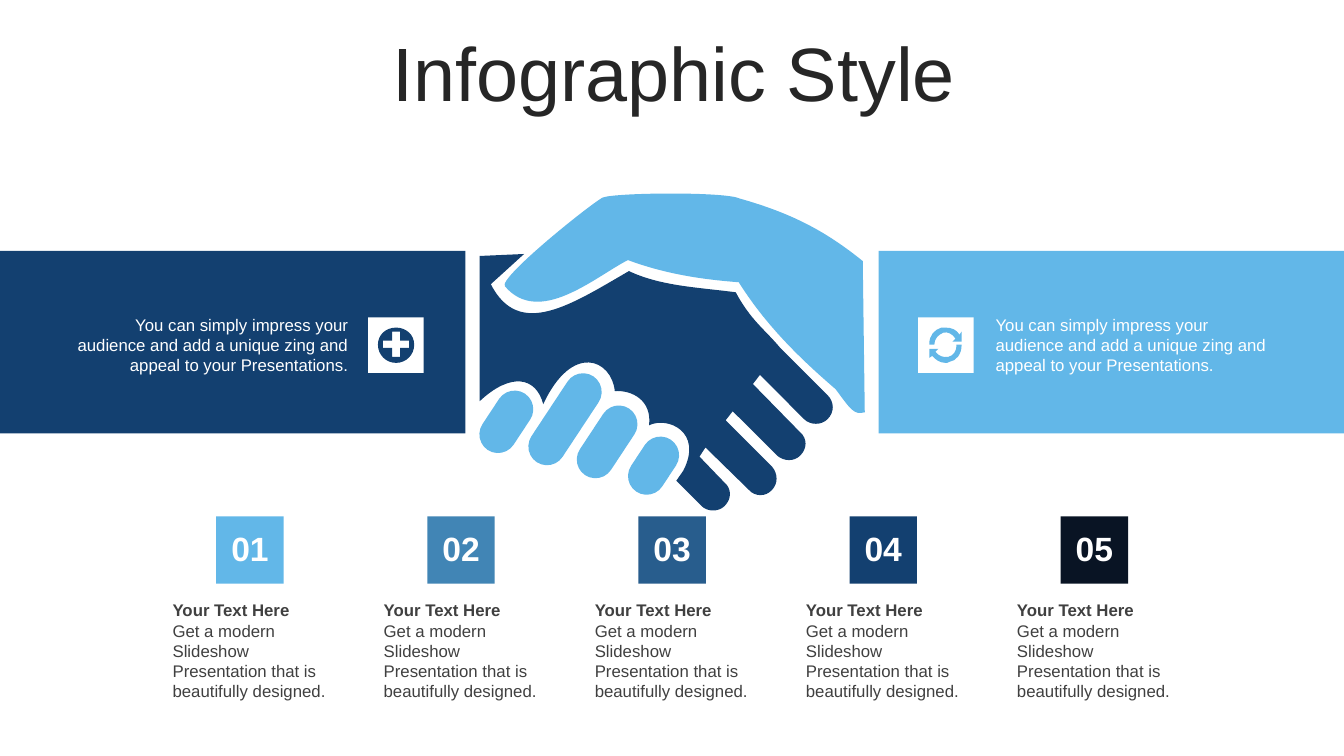
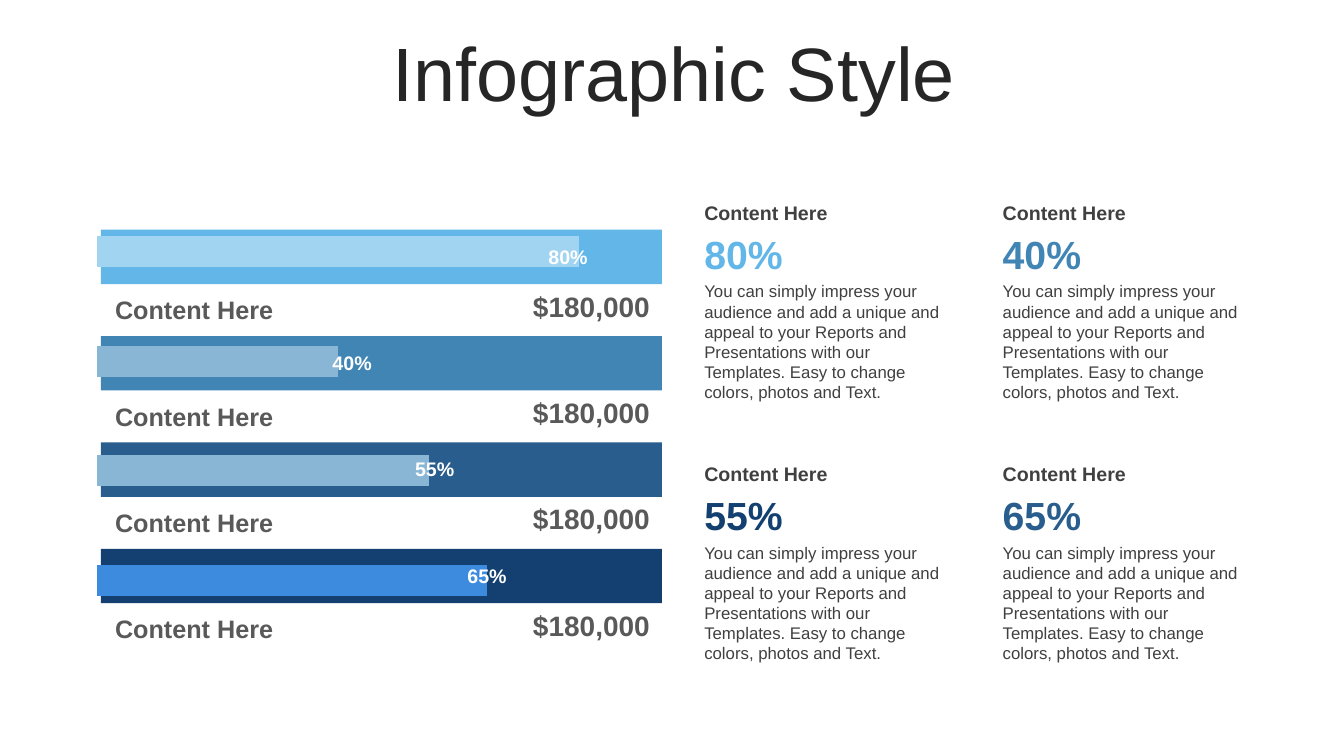
from lxml import etree
from pptx import Presentation
from pptx import util as u
from pptx.chart import data as chart_data
from pptx.dml import color as dml
from pptx.enum import chart as charts, shapes, text
from pptx.oxml import ns, parse_xml

# Shared look
FONT = "Arial"
WHITE, INK, TITLE_INK, GREY = "FFFFFF", "404040", "262626", "595959"
SKY, STEEL, BLUE, NAVY, NIGHT = "62B7E8", "4185B5", "285D8D", "134070", "091424"
LEFT, CENTER, RIGHT = text.PP_ALIGN.LEFT, text.PP_ALIGN.CENTER, text.PP_ALIGN.RIGHT
TOP, MIDDLE = text.MSO_ANCHOR.TOP, text.MSO_ANCHOR.MIDDLE
RECT, ROUNDED = shapes.MSO_SHAPE.RECTANGLE, shapes.MSO_SHAPE.ROUNDED_RECTANGLE

# Outlines on a grid measured from the slide's top left corner
GRID = u.Cm(0.0254)
UPPER_HAND = """M 623 258 C 590 275 535 324 501 284 C 494 276 585 203 598 196
    C 611 191 720 190 734 197 C 787 212 820 230 856 259 L 858 409
    C 847 412 844 406 829 386 C 787 350 757 318 733 280 C 693 277 658 271 623 258 Z"""
LOWER_HAND = """M 520 252 L 487 282 C 515 337 567 302 624 269 C 656 284 692 285 730 290
    C 745 318 759 327 774 345 L 821 392 C 828 399 828 409 821 416
    C 815 422 804 422 798 416 L 754 372 L 747 381 L 794 429
    C 801 435 801 445 794 452 C 788 458 778 458 771 452 L 727 408 L 720 417
    L 766 463 C 772 470 772 480 766 486 C 760 493 749 493 743 486 L 700 444
    L 694 453 L 719 479 C 726 485 726 495 719 502 C 713 508 702 508 696 502
    L 673 479 L 671 477 L 678 467 C 698 428 662 413 644 422 C 647 397 627 387 610 388
    C 607 357 568 339 539 401 C 532 374 507 369 476 398 L 476 254 Z"""
PLUS_ICON = """M 389 329 L 389 338 L 380 338 L 380 345 L 389 345 L 389 354 L 397 354
    L 397 345 L 406 345 L 406 338 L 397 338 L 397 329 Z
    M 393 325 C 403 325 411 332 411 342 C 411 352 403 360 393 360
    C 383 360 375 352 375 342 C 375 332 383 325 393 325 Z"""
CYCLE_ICON = """M 949 342 L 954 342 L 954 343 C 954 351 949 358 942 359
    C 941 360 939 360 938 360 C 933 360 928 357 925 353 L 922 355 L 922 346
    L 931 346 L 928 349 C 931 353 936 355 941 354 C 946 353 949 348 949 343 Z
    M 938 325 C 944 325 949 327 952 332 L 954 329 L 954 339 L 945 339 L 948 336
    C 945 331 940 329 936 330 C 931 332 927 336 927 342 L 922 342 L 922 341
    C 922 333 927 327 934 325 C 936 325 937 325 938 325 Z"""

# Wording
PITCH = ("You can simply impress your audience and add a unique zing "
         "and appeal to your Presentations.")
STEP_TEXT = "Get a modern Slideshow Presentation that is beautifully designed."
CARD_TEXT = ("You can simply impress your audience and add a unique and appeal to your "
             "Reports and Presentations with our Templates. Easy to change colors, "
             "photos and Text.")


def rgb(hex_color):
    return dml.RGBColor.from_string(hex_color)


def set_attributes(target, values):
    for name, value in values.items():
        setattr(target, name, value)


def paint(shape, color):
    shape.shadow.inherit = False
    shape.fill.solid()
    shape.fill.fore_color.rgb = rgb(color)
    shape.line.fill.background()


def write(shape, words, size, color, bold=False, align=LEFT, anchor=TOP, spacing=None):
    set_attributes(shape.text_frame, {"word_wrap": True, "vertical_anchor": anchor})
    para = shape.text_frame.paragraphs[0]
    set_attributes(para, {"alignment": align, "line_spacing": spacing})
    span = para.add_run()
    span.text = words
    set_attributes(span.font, {"name": FONT, "size": u.Pt(size), "bold": bold})
    span.font.color.rgb = rgb(color)


def add_text(page, at, words, size, color, **style):
    box = page.shapes.add_textbox(*map(u.Cm, at))
    write(box, words, size, color, **style)


def add_block(page, at, color, kind=RECT):
    block = page.shapes.add_shape(kind, *map(u.Cm, at))
    paint(block, color)
    return block


def bend(shape, commands):
    """Merge the three segments of each curve command into one cubic curve."""
    segments = iter(list(shape.element.iter(ns.qn("a:lnTo"))))
    for command in commands:
        segment = next(segments)
        if command == "C":
            curve = etree.Element(ns.qn("a:cubicBezTo"))
            segment.addprevious(curve)
            for part in (segment, next(segments), next(segments)):
                curve.append(part[0])
                part.getparent().remove(part)


def add_outline(page, outline, color):
    tokens = iter(outline.split())

    def next_point():
        return int(next(tokens)) * GRID, int(next(tokens)) * GRID

    builder, commands = None, []
    for command in tokens:
        if command == "Z":
            builder.add_line_segments([], close=True)
        elif command == "M" and builder is None:
            builder = page.shapes.build_freeform(*next_point())
        elif command == "M":
            builder.move_to(*next_point())
        else:
            count = 3 if command == "C" else 1
            builder.add_line_segments([next_point() for _ in range(count)], close=False)
            commands.append(command)
    shape = builder.convert_to_shape()
    bend(shape, commands)
    paint(shape, color)


def add_page(deck, title):
    page = deck.slides.add_slide(deck.slide_layouts[6])
    add_text(page, (0.9, 0.94, 32.16, 2.01), title, 54, TITLE_INK,
             align=CENTER, anchor=MIDDLE, spacing=0.9)
    return page


# Handshake page
def add_handshake(page):
    add_outline(page, UPPER_HAND, SKY)
    for left, top, length in ((12.29, 9.78, 1.7), (13.77, 9.27, 2.59),
                              (14.83, 10.13, 2.01), (16, 10.95, 1.57)):
        finger = add_block(page, (left, top, 0.94, length), SKY, ROUNDED)
        finger.adjustments[0] = 0.5
        finger.rotation = 33.4
    add_outline(page, LOWER_HAND, NAVY)


def add_banner(page, left, tile_left, text_left, color, align, icon):
    add_block(page, (left, 6.32, 11.73, 4.6), color)
    add_block(page, (tile_left, 8, 1.4, 1.4), WHITE)
    add_text(page, (text_left, 7.8, 7.7, 1.8), PITCH, 12, WHITE, align=align)
    add_outline(page, icon, color)


def add_step(page, index, color):
    left = 4.1 + 5.32 * index
    tile = add_block(page, (left + 1.35, 13.01, 1.7, 1.7), color)
    set_attributes(tile.text_frame, {"margin_left": 0, "margin_right": 0,
                                     "margin_bottom": u.Cm(0.2)})
    write(tile, f"{index + 1:02}", 24, WHITE, bold=True, align=CENTER, anchor=MIDDLE)
    add_text(page, (left, 15.51, 4.39, 2.31), STEP_TEXT, 12, INK)
    add_text(page, (left, 14.99, 4.39, 0.76), "Your Text Here", 12, INK, bold=True)


# Progress page
def add_card(page, index, percent, color):
    row, column = divmod(index, 2)
    left, top = 17.5 + 7.52 * column, 4.93 + 6.58 * row
    add_text(page, (left, top, 6.7, 0.86), "Content Here", 14, INK,
             bold=True, anchor=MIDDLE)
    add_text(page, (left, top + 2.03, 6.7, 3.33), CARD_TEXT, 12, INK)
    add_text(page, (left, top + 0.74, 6.7, 1.45), percent, 28, color,
             bold=True, anchor=MIDDLE)


def add_progress_chart(page):
    data = chart_data.CategoryChartData()
    data.categories = ["1", "2", "3", "4"]
    data.add_series("Series 1", (81, 69, 50, 100))
    frame = page.shapes.add_chart(charts.XL_CHART_TYPE.BAR_STACKED,
                                  *map(u.Cm, (2.16, 4.73, 14.22, 11.51)), data)
    chart = frame.chart
    set_attributes(chart, {"has_legend": False, "has_title": False})
    set_attributes(chart.font, {"name": FONT, "size": u.Pt(18)})
    chart.font.color.rgb = rgb("000000")
    set_attributes(chart.category_axis, {"visible": False})
    set_attributes(chart.value_axis, {"visible": False, "has_major_gridlines": False,
                                      "minimum_scale": 0, "maximum_scale": 100})
    plot = chart.plots[0]
    set_attributes(plot, {"gap_width": 250, "overlap": 100, "vary_by_categories": False})
    series = plot.series[0]
    series.format.fill.solid()
    series.format.fill.fore_color.rgb = rgb(INK)
    for index, color in enumerate(("3D8BDE", "8AB6D5", "8AB6D5", "A1D4F1")):
        fill = series.points[index].format.fill
        fill.solid()
        fill.fore_color.rgb = rgb(color)

    # Fixed plot area, as fractions of the chart frame
    area = chart.element.find(".//" + ns.qn("c:plotArea"))
    for layout in area.findall(ns.qn("c:layout")):
        area.remove(layout)
    modes = '<c:layoutTarget val="inner"/><c:xMode val="edge"/><c:yMode val="edge"/>'
    sizes = "".join(f'<c:{name} val="{value}"/>' for name, value in
                    {"x": 0.02, "y": 0.02, "w": 0.854, "h": 0.96}.items())
    area.insert(0, parse_xml(f'<c:layout {ns.nsdecls("c")}><c:manualLayout>'
                             f'{modes}{sizes}</c:manualLayout></c:layout>'))


def add_progress_bars(page):
    bars = (("80%", 13.39, SKY), ("40%", 7.95, STEEL),
            ("55%", 10.03, BLUE), ("65%", 11.35, NAVY))
    tops = [5.79 + 2.68 * index for index in range(len(bars))]
    for top, (_, _, color) in zip(tops, bars):
        add_block(page, (2.54, top, 14.14, 1.37), color)
    add_progress_chart(page)
    for top, (percent, left, _) in zip(tops, bars):
        add_text(page, (2.65, top + 1.51, 5.59, 0.76), "Content Here", 18, GREY, bold=True)
        add_text(page, (12.9, top + 1.36, 3.73, 1.12), "$180,000", 20, GREY,
                 bold=True, align=RIGHT, anchor=MIDDLE)
        add_text(page, (left, top + 0.24, 1.85, 0.86), percent, 14, WHITE,
                 bold=True, align=CENTER, anchor=MIDDLE)


def main():
    deck = Presentation()
    set_attributes(deck, {"slide_width": u.Cm(33.87), "slide_height": u.Cm(19.05)})

    page = add_page(deck, "Infographic Style")
    add_handshake(page)
    add_banner(page, 0, 9.28, 1.33, NAVY, RIGHT, PLUS_ICON)
    add_banner(page, 22.14, 23.14, 24.84, SKY, LEFT, CYCLE_ICON)
    for index, color in enumerate((SKY, STEEL, BLUE, NAVY, NIGHT)):
        add_step(page, index, color)

    page = add_page(deck, "Infographic Style")
    cards = (("80%", SKY), ("40%", STEEL), ("55%", NAVY), ("65%", BLUE))
    for index, (percent, color) in enumerate(cards):
        add_card(page, index, percent, color)
    add_progress_bars(page)

    deck.save("out.pptx")


if __name__ == "__main__":
    main()
